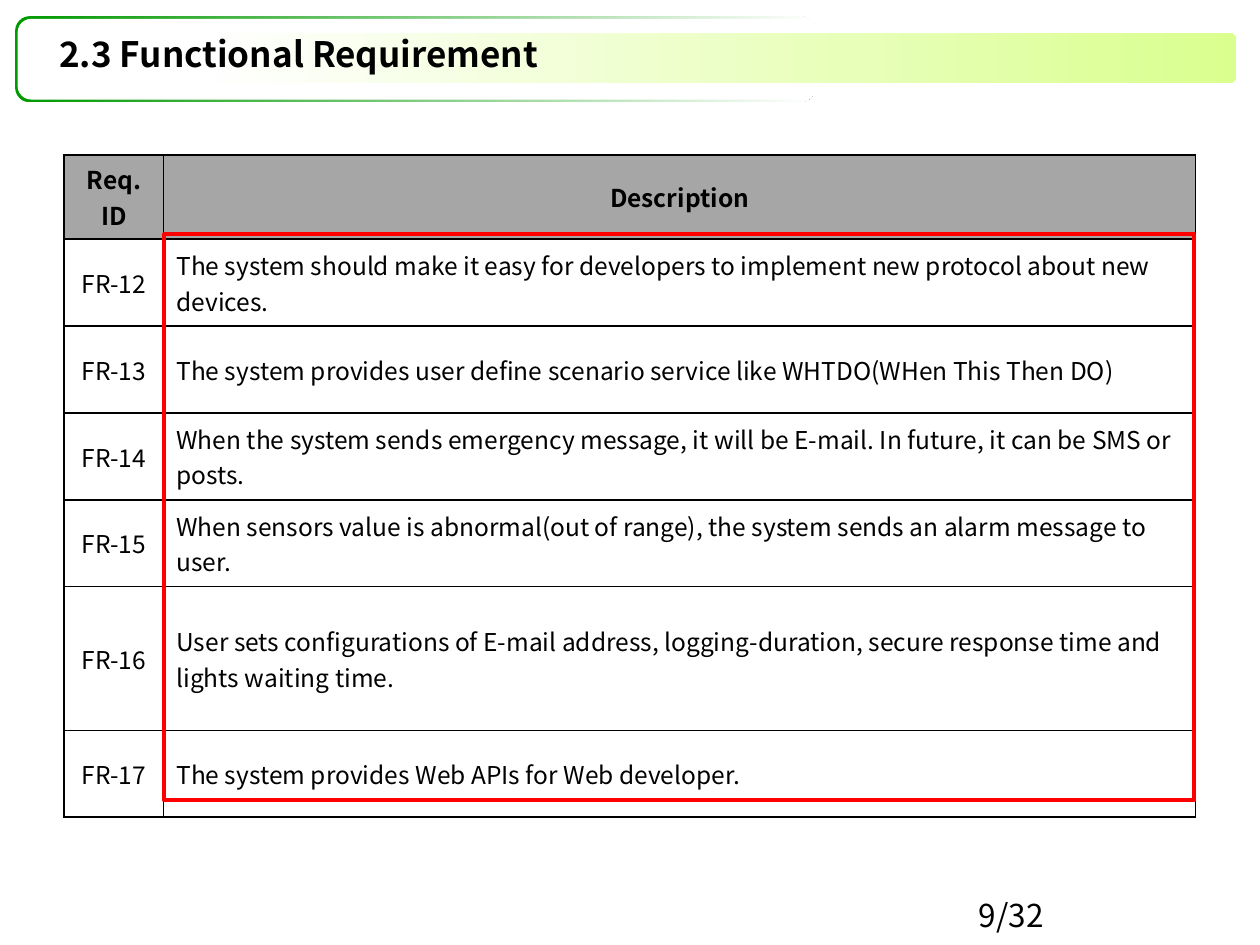
from dataclasses import dataclass
from lxml import etree
from pptx import Presentation
from pptx import util as u
from pptx.dml.color import RGBColor
from pptx.enum import shapes, text
from pptx.oxml import ns


@dataclass(frozen=True)
class Theme:
    font: str = "Noto Sans CJK KR"
    ink: str = "000000"
    paper: str = "FFFFFF"
    green: str = "009900"
    lime: str = "DAFF8F"
    head: str = "A6A6A6"
    mark: str = "FF0000"
    title: int = 20
    page: int = 18
    body: int = 14


T = Theme()
WIDE, HIGH = 10, 7.5
ROUND = shapes.MSO_SHAPE.ROUNDED_RECTANGLE
LEFT, MID = text.PP_ALIGN.LEFT, text.PP_ALIGN.CENTER

ROWS = [
    ("Req. ID", "Description", 0.54),
    ("FR-12", "The system should make it easy for developers to implement "
     "new protocol about new devices.", 0.69),
    ("FR-13", "The system provides user define scenario service like "
     "WHTDO(WHen This Then DO)", 0.69),
    ("FR-14", "When the system sends emergency message, it will be E-mail. "
     "In future, it can be SMS or posts.", 0.69),
    ("FR-15", "When sensors value is abnormal(out of range), the system "
     "sends an alarm message to user.", 0.69),
    ("FR-16", "User sets configurations of E-mail address, logging-duration, "
     "secure response time and lights waiting time.", 1.14),
    ("FR-17", "The system provides Web APIs for Web developer.", 0.69),
]


def rgb(code):
    return RGBColor.from_string(code)


def write(frame, words, size=T.body, bold=False, align=LEFT, anchor=None):
    frame.word_wrap = True
    if anchor is not None:
        frame.vertical_anchor = anchor
    para = frame.paragraphs[0]
    para.alignment = align
    run = para.add_run()
    run.text = words
    run.font.name = T.font
    run.font.size = u.Pt(size)
    run.font.bold = bold
    run.font.color.rgb = rgb(T.ink)


def block(slide, kind, box, fill=(), line=None, curve=None):
    shape = slide.shapes.add_shape(kind, *map(u.Inches, box))
    shape.shadow.inherit = False
    if curve is not None:
        shape.adjustments[0] = curve
    if len(fill) == 2:
        shape.fill.gradient()
        shape.fill.gradient_angle = 0
        for stop, code in zip(shape.fill.gradient_stops, fill):
            stop.color.rgb = rgb(code)
    elif fill:
        shape.fill.solid()
        shape.fill.fore_color.rgb = rgb(fill[0])
    else:
        shape.fill.background()
    if line:
        shape.line.color.rgb = rgb(line)
        shape.line.width = u.Pt(2.25)
    else:
        shape.line.fill.background()


def banner(slide, box, words):
    x, y, w, h = box
    block(slide, ROUND, (x, y, 0.655 * w, h), (T.green, T.paper), curve=0.167)
    block(slide, ROUND, (x + 0.02, y + 0.02, 0.655 * w, h - 0.04),
          (T.paper,), curve=0.167)
    block(slide, ROUND, (x + 0.15 * w, y + 0.13, 0.85 * w, 0.4),
          (T.paper, T.lime), curve=0.143)
    title = slide.shapes.title
    title.left, title.top = u.Inches(x + 0.25), u.Inches(y + 0.08)
    title.width, title.height = u.Inches(8.3), u.Inches(0.43)
    write(title.text_frame, words, size=T.title, bold=True,
          anchor=text.MSO_ANCHOR.MIDDLE)
    title.element.getparent().append(title.element)


def border(cell):
    props = cell._tc.get_or_add_tcPr()
    for spot, side in enumerate(("lnL", "lnR", "lnT", "lnB")):
        line = etree.Element(ns.qn("a:" + side), w=str(u.Pt(1)))
        fill = etree.SubElement(line, ns.qn("a:solidFill"))
        etree.SubElement(fill, ns.qn("a:srgbClr"), val=T.ink)
        props.insert(spot, line)


def grid(slide, box):
    x, y, w, h = box
    table = slide.shapes.add_table(len(ROWS), 2, *map(u.Inches, box)).table
    first = 0.79
    for col, span in zip(table.columns, (first, w - first)):
        col.width = u.Inches(span)
    for r, (*words, tall) in enumerate(ROWS):
        table.rows[r].height = u.Inches(tall)
        for c, word in enumerate(words):
            cell = table.cell(r, c)
            cell.fill.solid()
            cell.fill.fore_color.rgb = rgb(T.paper if r else T.head)
            cell.vertical_anchor = text.MSO_ANCHOR.MIDDLE
            if r and not c:
                cell.margin_left = cell.margin_right = u.Inches(0.04)
            write(cell.text_frame, word, bold=not r,
                  align=LEFT if r and c else MID)
            border(cell)
    block(slide, shapes.MSO_SHAPE.RECTANGLE,
          (x + first, y + 0.63, w - first - 0.01, h - 0.65), line=T.mark)


def footer(slide, box, words):
    note = slide.shapes.add_textbox(*map(u.Inches, box))
    write(note.text_frame, words, size=T.page)


deck = Presentation()
deck.slide_width, deck.slide_height = u.Inches(WIDE), u.Inches(HIGH)
page = deck.slides.add_slide(deck.slide_layouts[5])
banner(page, (0.12, 0.13, 9.69, 0.68), "2.3 Functional Requirement")
grid(page, (0.51, 1.23, 8.98, 5.14))
footer(page, (7.67, 7.06, 2.33, 0.4), "9/32")
deck.save("out.pptx")
